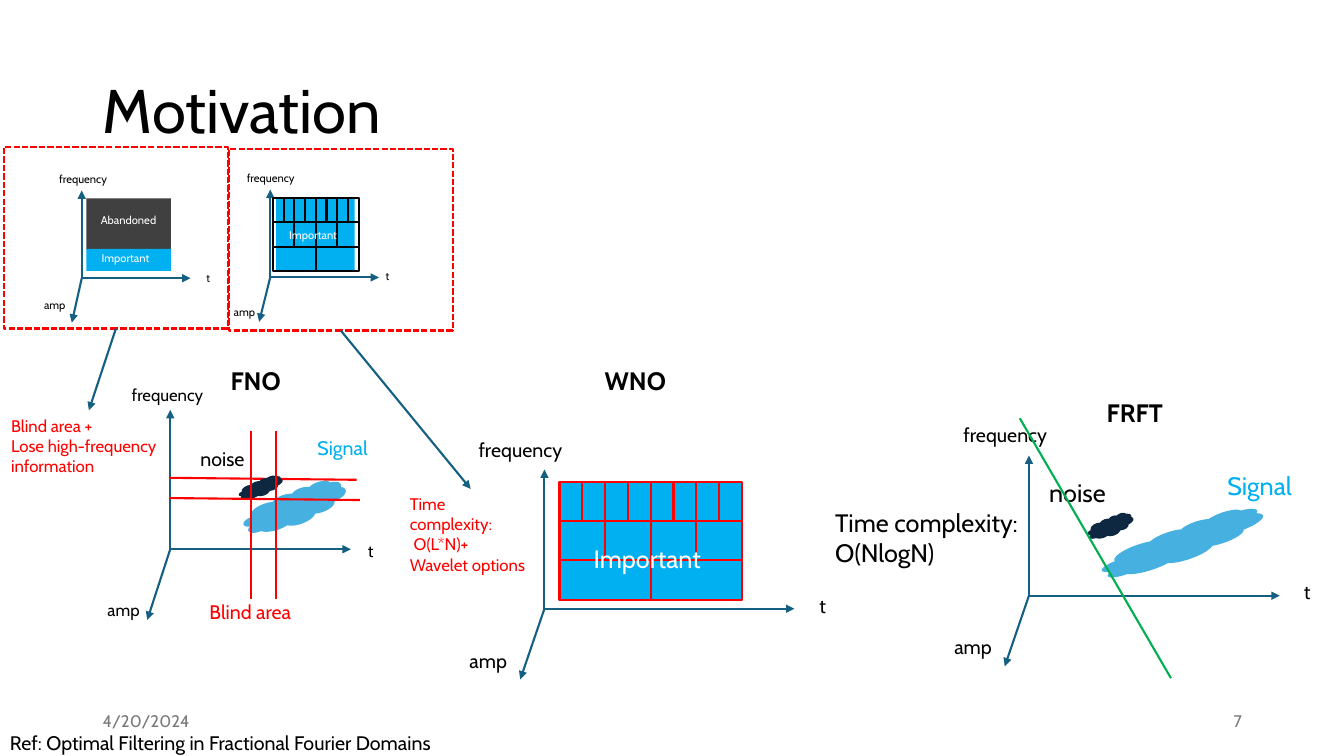
from lxml.etree import SubElement
from pptx import Presentation
from pptx.dml.color import RGBColor
from pptx.enum.dml import MSO_LINE
from pptx.enum.shapes import MSO_CONNECTOR, MSO_SHAPE
from pptx.enum.text import MSO_ANCHOR, MSO_AUTO_SIZE, PP_ALIGN
from pptx.oxml.ns import qn
from pptx.util import Cm, Pt

FONT = "Cabin"
COLOURS = {
    "black": "000000",
    "white": "FFFFFF",
    "grey": "797979",
    "charcoal": "404040",
    "axis": "156082",
    "red": "FF0000",
    "green": "00B050",
    "blue": "00B0F0",
    "signal": "46B1E1",
    "noise": "0E2841",
}


def colour(name):
    return RGBColor.from_string(COLOURS[name])


def write_text(frame, text, size=14, ink="black", bold=False, align=PP_ALIGN.LEFT,
               anchor=MSO_ANCHOR.TOP, wrap=True, spacing=None):
    frame.word_wrap = wrap
    frame.auto_size = MSO_AUTO_SIZE.NONE
    frame.vertical_anchor = anchor
    frame.text = text
    for paragraph in frame.paragraphs:
        paragraph.alignment = align
        paragraph.line_spacing = spacing
        paragraph.font.name = FONT
        paragraph.font.size = Pt(size)
        paragraph.font.bold = bold
        paragraph.font.color.rgb = colour(ink)


def add_label(shapes, text, left, top, width, size=14, lines=1, **text_format):
    height = lines * size * 0.0423 + 0.26
    box = shapes.add_textbox(Cm(left), Cm(top), Cm(width), Cm(height))
    write_text(box.text_frame, text, size=size, **text_format)


def add_block(shapes, left, top, width, height, fill=None, outline=None,
              kind=MSO_SHAPE.RECTANGLE, dashed=False, rotation=0):
    shape = shapes.add_shape(kind, Cm(left), Cm(top), Cm(width), Cm(height))
    shape.shadow.inherit = False
    shape.rotation = rotation
    if fill:
        shape.fill.solid()
        shape.fill.fore_color.rgb = colour(fill)
    else:
        shape.fill.background()
    if outline:
        shape.line.color.rgb = colour(outline)
        shape.line.width = Pt(1.5)
        if dashed:
            shape.line.dash_style = MSO_LINE.SQUARE_DOT
    else:
        shape.line.fill.background()
    return shape


def add_cloud(shapes, left, top, width, height, fill):
    add_block(shapes, left, top, width, height, fill, kind=MSO_SHAPE.CLOUD, rotation=341)


def add_line(shapes, start, end, ink="red", arrow=False):
    line = shapes.add_connector(MSO_CONNECTOR.STRAIGHT, *map(Cm, start + end))
    line.line.color.rgb = colour(ink)
    line.line.width = Pt(1.5)
    properties = line.element.spPr
    if arrow:
        SubElement(properties.find(qn("a:ln")), qn("a:tailEnd"), type="triangle")
    SubElement(properties, qn("a:effectLst"))
    return line


def add_axes(shapes, origin, height, width, amp_offset, labels, size):
    x, y = origin
    tips = [(x, y - height), (x + width, y), (x + amp_offset[0], y + amp_offset[1])]
    for tip in tips:
        add_line(shapes, origin, tip, "axis", arrow=True)
    for text, place in zip(("frequency", "t", "amp"), labels):
        add_label(shapes, text, *place, size=size)


def add_wavelet_grid(shapes, left, top, width, height, outline):
    row_height = height / 3
    for row, count in enumerate((8, 4, 2)):
        cell_width = width / count
        for column in range(count):
            add_block(shapes, left + column * cell_width, top + row * row_height,
                      cell_width, row_height, outline=outline)


def add_callout(shapes, left, top, target):
    frame = add_block(shapes, left, top, 5.64, 4.57, outline="red", dashed=True)
    arrow = add_line(shapes, (left + 2.82, top + 4.57), target, "axis", arrow=True)
    arrow.begin_connect(frame, 2)


def add_overview(shapes):
    add_axes(shapes, (2.06, 7.01), 2.21, 2.74, (-0.25, 1.12),
             [(1.24, 4.22, 1.83), (4.95, 6.71, 0.53), (0.86, 7.39, 1.19)], 8)
    add_axes(shapes, (6.81, 6.99), 2.21, 2.74, (-0.28, 1.12),
             [(5.97, 4.19, 1.88), (9.47, 6.65, 0.53), (5.64, 7.57, 1.37)], 8)
    add_block(shapes, 2.18, 5, 2.13, 1.3, "charcoal")
    add_block(shapes, 2.18, 6.27, 2.13, 0.56, "blue")
    add_block(shapes, 6.96, 4.98, 1.98, 1.85, "blue")
    add_wavelet_grid(shapes, 6.88, 4.98, 2.16, 1.85, "black")
    add_label(shapes, "Abandoned", 2.29, 5.26, 1.96, size=8, ink="white")
    add_label(shapes, "Important", 2.31, 6.2, 2.03, size=8, ink="white")
    add_label(shapes, "Important", 7.04, 5.64, 2.01, size=8, ink="white")


def add_fno(shapes):
    add_axes(shapes, (4.29, 13.84), 3.51, 4.55, (-0.58, 1.78),
             [(3.07, 9.58, 2.54), (9.02, 13.49, 0.94), (2.46, 14.99, 1.68)], 12)
    add_cloud(shapes, 6.07, 12.37, 2.72, 0.86, "signal")
    add_line(shapes, (4.27, 12.04), (8.99, 12.09))
    add_cloud(shapes, 5.99, 12.09, 1.17, 0.41, "noise")
    add_line(shapes, (4.27, 12.55), (9.07, 12.6))
    for x in (6.32, 6.96):
        add_line(shapes, (x, 10.87), (x, 15.1))
    add_label(shapes, "FNO", 5.56, 9.07, 2.08, size=18, bold=True)
    add_label(shapes, "Signal", 7.75, 10.85, 1.83, ink="blue", wrap=False)
    add_label(shapes, "noise", 4.8, 11.13, 1.68, wrap=False)
    add_label(shapes, "Blind area", 5.03, 14.99, 3.33, ink="red")
    add_label(shapes, "Blind area +\nLose high-frequency information",
              0.03, 10.34, 4.39, size=12, lines=3, ink="red")


def add_wno(shapes):
    add_axes(shapes, (13.72, 15.34), 3.51, 6.3, (-0.61, 1.78),
             [(11.81, 10.9, 2.95), (20.4, 14.83, 0.94), (11.58, 16.23, 1.68)], 14)
    add_block(shapes, 14.1, 12.14, 4.6, 2.97, "blue")
    add_wavelet_grid(shapes.add_group_shape().shapes, 14.1, 12.14, 4.6, 2.97, "red")
    add_label(shapes, "Important", 14.71, 13.56, 3.68, size=18, ink="white")
    add_label(shapes, "WNO", 14.99, 9.07, 3.07, size=18, bold=True)
    add_label(shapes, "Time complexity:\n O(L*N)+\nWavelet options",
              10.08, 12.32, 3.51, size=12, lines=4, ink="red")


def add_frft(shapes):
    add_axes(shapes, (25.93, 15.01), 3.53, 6.32, (-0.61, 1.78),
             [(24.03, 10.54, 3.35), (32.61, 14.5, 0.94), (23.8, 15.88, 1.68)], 14)
    add_cloud(shapes, 27.66, 13.28, 4.29, 0.84, "signal")
    add_cloud(shapes, 27.38, 13.03, 1.22, 0.48, "noise")
    add_label(shapes, "Signal", 30.68, 11.73, 2.18, size=18, ink="blue", wrap=False)
    add_label(shapes, "noise", 26.19, 11.91, 2.01, size=18, wrap=False)
    add_line(shapes, (25.7, 10.54), (29.51, 17.09), "green")
    add_label(shapes, "FRFT", 27.64, 9.88, 3.07, size=18, bold=True)
    add_label(shapes, "Time complexity:\nO(NlogN)", 20.8, 12.65, 5.26, size=18, lines=2)


def add_title(slide, text):
    title = slide.shapes.title
    title.left, title.top, title.width, title.height = map(Cm, (2.34, 1.02, 29.21, 3.68))
    write_text(title.text_frame, text, size=44, anchor=MSO_ANCHOR.MIDDLE, spacing=0.9)


def add_footer(shapes):
    add_label(shapes, "4/20/2024", 2.34, 17.78, 7.62, size=12, ink="grey")
    add_label(shapes, "7", 23.93, 17.78, 7.62, size=12, ink="grey", align=PP_ALIGN.RIGHT)
    add_label(shapes, "Ref: Optimal Filtering in Fractional Fourier Domains", 0, 18.29, 11.63)


def main():
    presentation = Presentation()
    presentation.slide_width = Cm(33.87)
    presentation.slide_height = Cm(19.05)
    slide = presentation.slides.add_slide(presentation.slide_layouts[5])
    shapes = slide.shapes
    add_title(slide, "Motivation")
    add_footer(shapes)
    add_fno(shapes)
    add_frft(shapes)
    add_wno(shapes)
    add_overview(shapes.add_group_shape().shapes)
    add_callout(shapes, 0.1, 3.71, (2.24, 10.34))
    add_callout(shapes, 5.77, 3.76, (11.86, 12.32))
    presentation.save("out.pptx")


if __name__ == "__main__":
    main()
